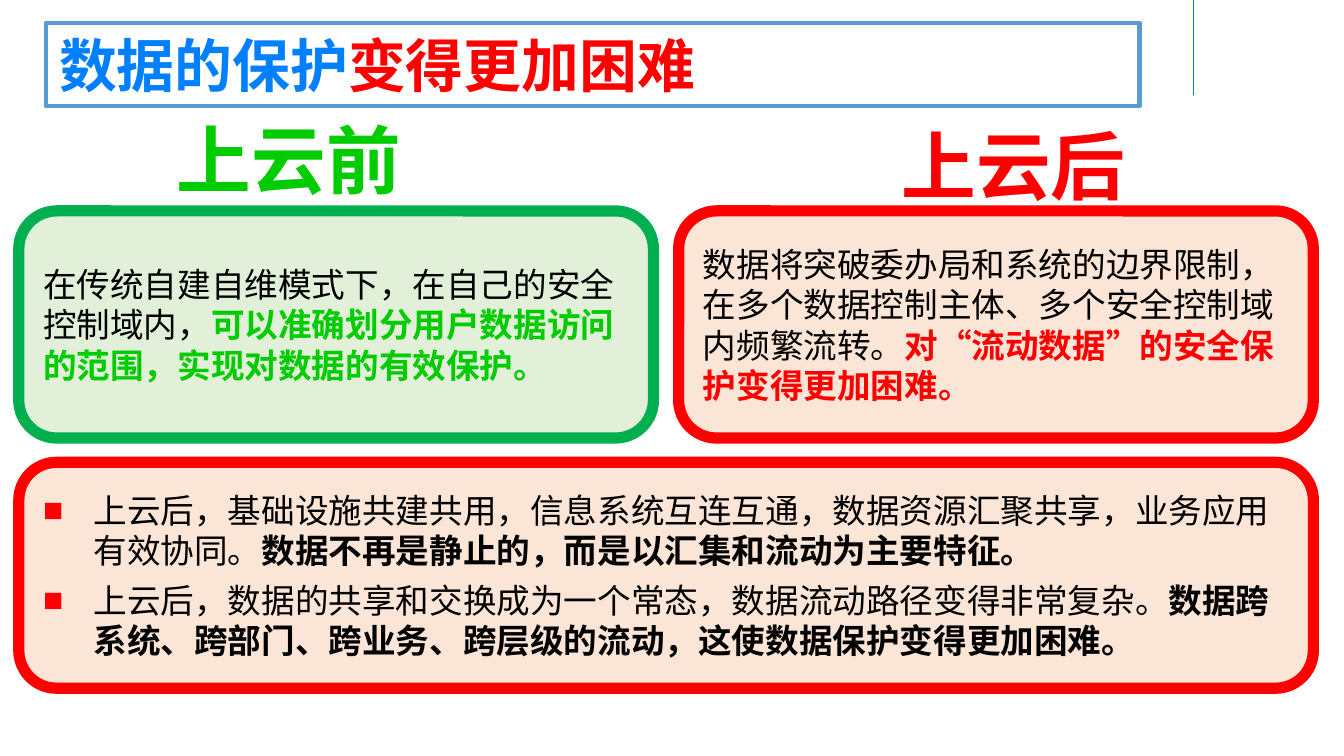
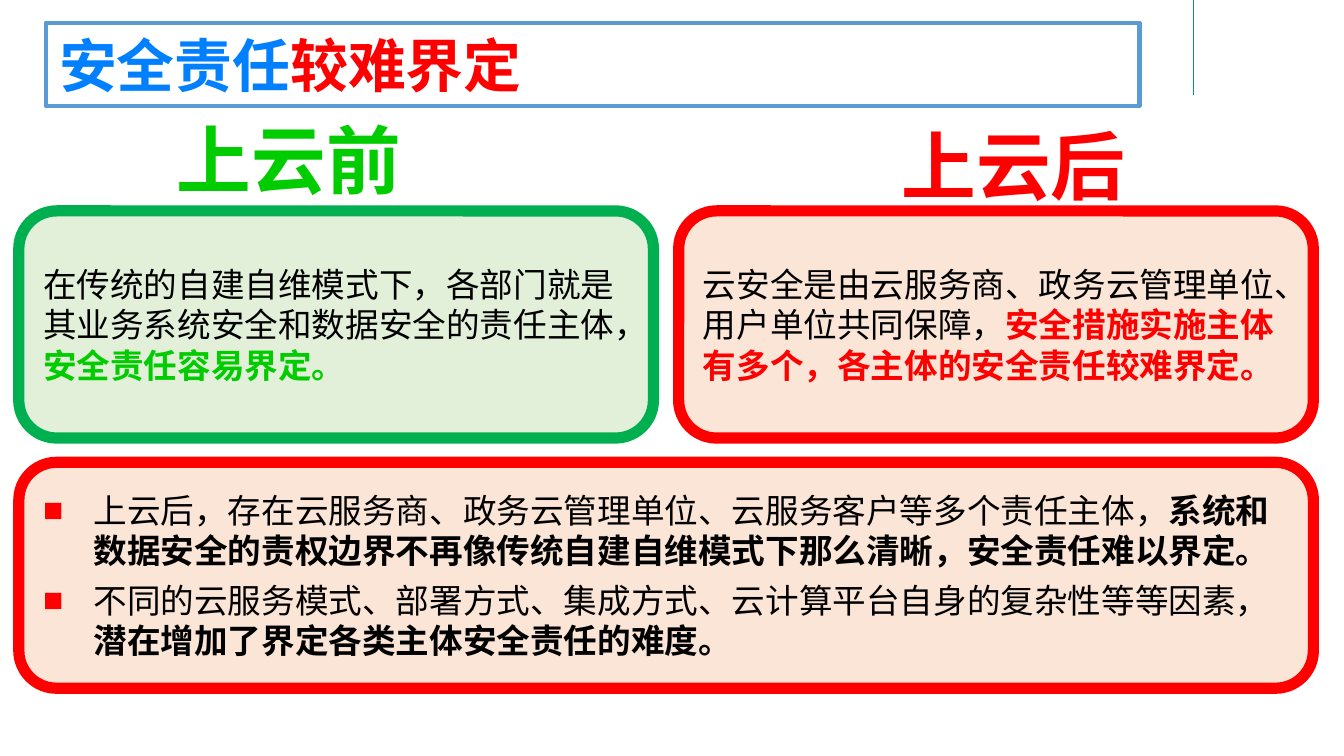
from dataclasses import dataclass
from typing import NamedTuple

from lxml import etree
from pptx import Presentation
from pptx.dml.color import RGBColor
from pptx.enum.shapes import MSO_CONNECTOR, MSO_SHAPE
from pptx.enum.text import MSO_ANCHOR, MSO_AUTO_SIZE, PP_ALIGN
from pptx.oxml.ns import qn
from pptx.util import Pt

ROUNDED = MSO_SHAPE.ROUNDED_RECTANGLE
STRAIGHT = MSO_CONNECTOR.STRAIGHT
TOP, MIDDLE = MSO_ANCHOR.TOP, MSO_ANCHOR.MIDDLE
LEFT, CENTER = PP_ALIGN.LEFT, PP_ALIGN.CENTER
NO_AUTO_SIZE = MSO_AUTO_SIZE.NONE

BLUE = RGBColor(0x00, 0x80, 0xFF)
FRAME_BLUE = RGBColor(0x5B, 0x9B, 0xD5)
RED = RGBColor(0xFF, 0x00, 0x00)
BRIGHT_GREEN = RGBColor(0x00, 0xCC, 0x00)
BORDER_GREEN = RGBColor(0x00, 0xB0, 0x50)
PALE_GREEN = RGBColor(0xE2, 0xF0, 0xD9)
PALE_ORANGE = RGBColor(0xFB, 0xE5, 0xD6)
BLACK = RGBColor(0x00, 0x00, 0x00)
WHITE = RGBColor(0xFF, 0xFF, 0xFF)

BODY_FONT = "Noto Sans CJK SC"
HEADING_FONT = "Noto Sans CJK JP"
BULLET_FONT = "Arial"
TITLE_SIZE, HEADING_SIZE, BODY_SIZE = 31, 40, 18
LINE_HEIGHT = 1.2
INSET = 3.6
BULLET_INDENT = 27


class Box(NamedTuple):
    left: float
    top: float
    width: float
    height: float

    def points(self) -> list:
        return [Pt(value) for value in self]


class Span(NamedTuple):
    text: str
    color: RGBColor = BLACK
    bold: bool = False


@dataclass(frozen=True)
class Panel:
    box: Box
    fill: RGBColor
    border: RGBColor


@dataclass(frozen=True)
class Heading:
    box: Box
    span: Span


@dataclass(frozen=True)
class Comparison:
    """Each text is a plain part followed by an emphasised part."""
    title: tuple[str, str]
    before: tuple[str, str]
    after: tuple[str, str]
    conclusions: tuple[tuple[str, str], ...]


TITLE_BOX = Box(24.5, 12.2, 586, 44.6)
BEFORE_PANEL = Panel(Box(10.1, 113, 340, 121.7), PALE_GREEN, BORDER_GREEN)
AFTER_PANEL = Panel(Box(363.6, 113, 340, 121.7), PALE_ORANGE, RED)
CONCLUSION_PANEL = Panel(Box(10.1, 247.7, 693.5, 121), PALE_ORANGE, RED)
HEADINGS = (
    Heading(Box(84.2, 57.6, 141, 55.4), Span("上云前", BRIGHT_GREEN, True)),
    Heading(Box(475.2, 60.5, 135.4, 55.4), Span("上云后", RED, True)),
)

COMPARISONS = (
    Comparison(
        ("数据的保护", "变得更加困难"),
        ("在传统自建自维模式下，在自己的安全控制域内，",
         "可以准确划分用户数据访问的范围，实现对数据的有效保护。"),
        ("数据将突破委办局和系统的边界限制，在多个数据控制主体、多个安全控制域内频繁流转。",
         "对“流动数据”的安全保护变得更加困难。"),
        (("上云后，基础设施共建共用，信息系统互连互通，数据资源汇聚共享，业务应用有效协同。",
          "数据不再是静止的，而是以汇集和流动为主要特征。"),
         ("上云后，数据的共享和交换成为一个常态，数据流动路径变得非常复杂。",
          "数据跨系统、跨部门、跨业务、跨层级的流动，这使数据保护变得更加困难。")),
    ),
    Comparison(
        ("安全责任", "较难界定"),
        ("在传统的自建自维模式下，各部门就是其业务系统安全和数据安全的责任主体，",
         "安全责任容易界定。"),
        ("云安全是由云服务商、政务云管理单位、用户单位共同保障，",
         "安全措施实施主体有多个，各主体的安全责任较难界定。"),
        (("上云后，存在云服务商、政务云管理单位、云服务客户等多个责任主体，",
          "系统和数据安全的责权边界不再像传统自建自维模式下那么清晰，安全责任难以界定。"),
         ("不同的云服务模式、部署方式、集成方式、云计算平台自身的复杂性等等因素，",
          "潜在增加了界定各类主体安全责任的难度。")),
    ),
)


def prepare_frame(shape, anchor=TOP):
    frame = shape.text_frame
    frame.word_wrap = True
    frame.auto_size = NO_AUTO_SIZE
    frame.vertical_anchor = anchor
    frame.margin_left = frame.margin_right = Pt(2 * INSET)
    frame.margin_top = frame.margin_bottom = Pt(INSET)
    return frame


def write_spans(paragraph, spans, size: float, font_name: str = BODY_FONT,
                alignment=LEFT, space_after: float = 0) -> None:
    paragraph.alignment = alignment
    paragraph.line_spacing = Pt(size * LINE_HEIGHT)
    paragraph.space_before = Pt(0)
    paragraph.space_after = Pt(space_after)
    for span in spans:
        run = paragraph.add_run()
        run.text = span.text
        run.font.name = font_name
        run.font.size = Pt(size)
        run.font.bold = span.bold
        run.font.color.rgb = span.color
        properties = run._r.get_or_add_rPr()
        etree.SubElement(properties, qn("a:ea"), typeface=font_name)


def outline_text(run, color: RGBColor, width: float) -> None:
    line = etree.Element(qn("a:ln"), w=str(Pt(width)))
    fill = etree.SubElement(line, qn("a:solidFill"))
    etree.SubElement(fill, qn("a:srgbClr"), val=str(color))
    run._r.get_or_add_rPr().insert(0, line)


def add_square_bullet(paragraph) -> None:
    properties = paragraph._p.get_or_add_pPr()
    properties.set("marL", str(Pt(BULLET_INDENT)))
    properties.set("indent", str(-Pt(BULLET_INDENT)))
    color = etree.SubElement(properties, qn("a:buClr"))
    etree.SubElement(color, qn("a:srgbClr"), val=str(RED))
    etree.SubElement(properties, qn("a:buFont"), typeface=BULLET_FONT)
    etree.SubElement(properties, qn("a:buChar"), char="■")


def add_corner_line(slide) -> None:
    """Draw the line and hand it to the slide's layout, so that all slides share it."""
    connector = slide.shapes.add_connector(STRAIGHT, Pt(639.4), Pt(0), Pt(639.4), Pt(51))
    connector.line.color.rgb = BLUE
    connector.line.width = Pt(1)
    element = connector._element
    etree.SubElement(element.spPr, qn("a:effectLst"))
    element.remove(element.find(qn("p:style")))
    slide.slide_layout.element.cSld.spTree.append(element)


def set_title(slide, parts: tuple[str, str]) -> None:
    title = slide.shapes.title
    title.left, title.top, title.width, title.height = TITLE_BOX.points()
    title.line.color.rgb = FRAME_BLUE
    title.line.width = Pt(2.25)
    frame = prepare_frame(title)
    spans = (Span(parts[0], BLUE, True), Span(parts[1], RED, True))
    write_spans(frame.paragraphs[0], spans, TITLE_SIZE)


def add_panel(slide, panel: Panel):
    """Draw the rounded panel and return its text frame."""
    shape = slide.shapes.add_shape(ROUNDED, *panel.box.points())
    shape.shadow.inherit = False
    shape.fill.solid()
    shape.fill.fore_color.rgb = panel.fill
    shape.line.color.rgb = panel.border
    shape.line.width = Pt(6)
    return prepare_frame(shape, MIDDLE)


def add_statement(slide, panel: Panel, parts: tuple[str, str], emphasis: RGBColor) -> None:
    frame = add_panel(slide, panel)
    spans = (Span(parts[0]), Span(parts[1], emphasis, True))
    write_spans(frame.paragraphs[0], spans, BODY_SIZE, space_after=20)


def add_heading(slide, heading: Heading) -> None:
    text_box = slide.shapes.add_textbox(*heading.box.points())
    paragraph = prepare_frame(text_box).paragraphs[0]
    write_spans(paragraph, [heading.span], HEADING_SIZE, HEADING_FONT, CENTER)
    outline_text(paragraph.runs[0], WHITE, 0.75)


def add_conclusions(slide, conclusions: tuple[tuple[str, str], ...]) -> None:
    frame = add_panel(slide, CONCLUSION_PANEL)
    for index, (plain, emphasised) in enumerate(conclusions):
        paragraph = frame.add_paragraph() if index else frame.paragraphs[0]
        spans = (Span(plain), Span(emphasised, bold=True))
        write_spans(paragraph, spans, BODY_SIZE, space_after=5 * (index + 1))
        add_square_bullet(paragraph)


def add_comparison_slide(presentation, comparison: Comparison) -> None:
    title_only = presentation.slide_layouts.get_by_name("Title Only")
    slide = presentation.slides.add_slide(title_only)
    set_title(slide, comparison.title)
    add_statement(slide, BEFORE_PANEL, comparison.before, BRIGHT_GREEN)
    add_statement(slide, AFTER_PANEL, comparison.after, RED)
    for heading in HEADINGS:
        add_heading(slide, heading)
    add_conclusions(slide, comparison.conclusions)


def main() -> None:
    presentation = Presentation()
    presentation.slide_width = Pt(720)
    presentation.slide_height = Pt(405)
    for comparison in COMPARISONS:
        add_comparison_slide(presentation, comparison)
    add_corner_line(presentation.slides[0])
    presentation.save("out.pptx")


if __name__ == "__main__":
    main()
